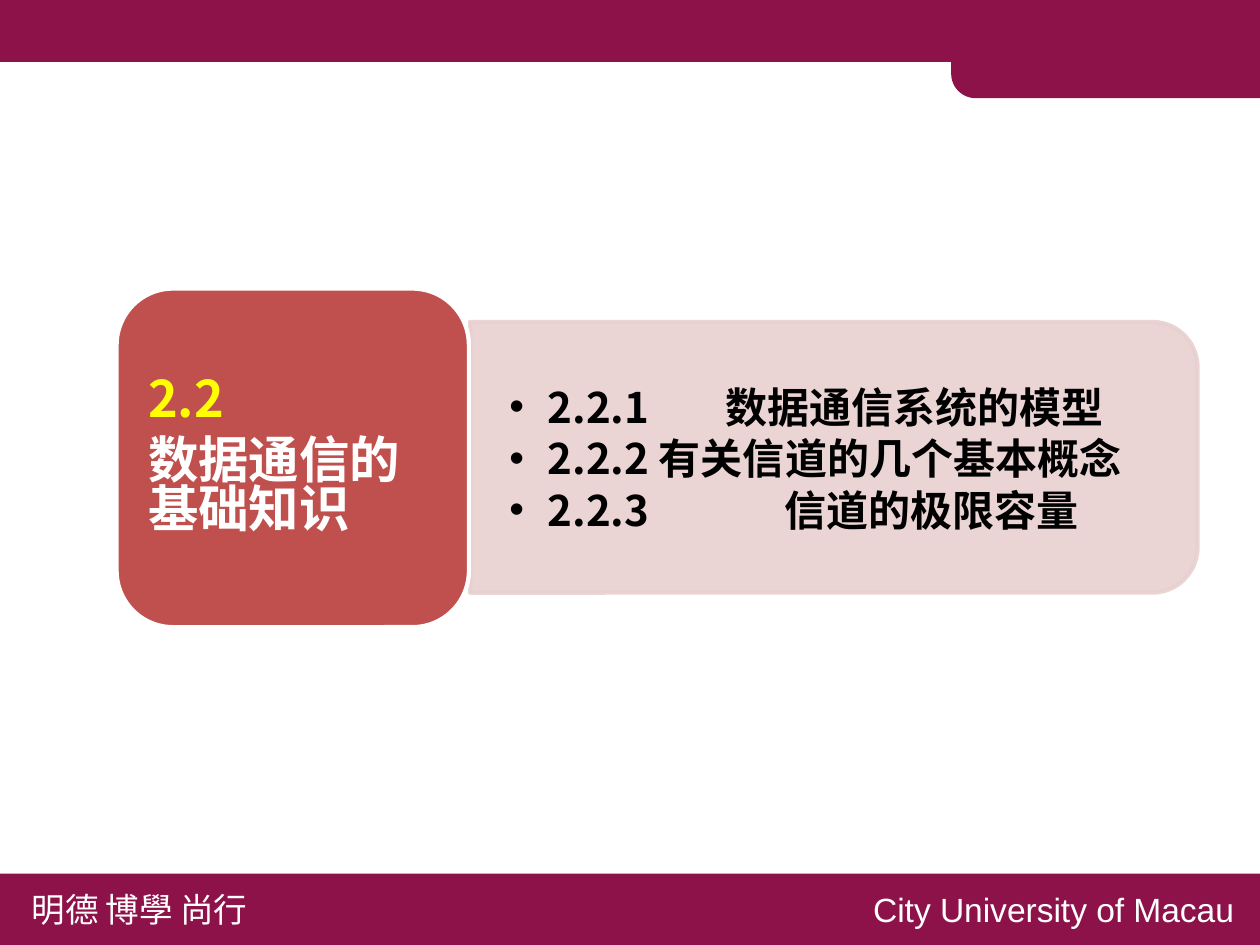
import pptx
import pptx.util
import pptx.dml.color
import pptx.enum.shapes
import pptx.enum.text
import pptx.oxml
import pptx.oxml.ns
import lxml.etree

Cm = pptx.util.Cm
Pt = pptx.util.Pt
KIND = pptx.enum.shapes.MSO_SHAPE
ALIGN = pptx.enum.text.PP_ALIGN
WIDE, HIGH = 21.17, 15.88
WINE, RED, PINK = "8D124A", "C0504D", "E8D0D0"
WHITE, BLACK, GOLD = "FFFFFF", "000000", "FFFF00"
HAN = "Noto Sans CJK SC"


def tint(part, code):
    part.rgb = pptx.dml.color.RGBColor.from_string(code)


def node(parent, tag, **attrs):
    return lxml.etree.SubElement(parent, pptx.oxml.ns.qn(tag), attrs)


def add_block(slide, kind, box, fill, line=None, turn=0, round=None):
    """Draw a filled preset shape; box is left, top, width, height in cm."""
    shape = slide.shapes.add_shape(kind, *map(Cm, box))
    shape.shadow.inherit = False
    shape.rotation = turn
    if round is not None:
        shape.adjustments[0] = round
    shape.fill.solid()
    tint(shape.fill.fore_color, fill)
    if line:
        tint(shape.line.color, line)
        shape.line.width = Pt(2)
    else:
        shape.line.fill.background()
    return shape


def add_run(para, text, size, color, face=HAN, bold=False):
    run = para.add_run()
    run.text = text
    run.font.size = Pt(size)
    run.font.bold = bold
    run.font.name = face
    tint(run.font.color, color)
    node(run.font._element, "a:ea", typeface=face)


def place(holder, box, pads):
    """Move a placeholder to the box, in front, and set its four insets."""
    holder.left, holder.top, holder.width, holder.height = map(Cm, box)
    tree = holder.element.getparent()
    tree.append(holder.element)
    frame = holder.text_frame
    frame.word_wrap = True
    frame.auto_size = pptx.enum.text.MSO_AUTO_SIZE.NONE
    frame.vertical_anchor = pptx.enum.text.MSO_ANCHOR.MIDDLE
    (frame.margin_left, frame.margin_top,
     frame.margin_right, frame.margin_bottom) = map(Cm, pads)
    return frame


def next_para(frame, index):
    para = frame.add_paragraph() if index else frame.paragraphs[0]
    para.alignment = ALIGN.LEFT
    para.space_before = Pt(0)
    return para


def add_header(slide, left, top, width, height):
    add_block(slide, KIND.RECTANGLE, (left, top, width, height), WINE)
    flap = 5.19
    add_block(slide, KIND.ROUND_1_RECTANGLE,
              (left + width - flap, top, flap, 1.65), WINE, turn=180, round=0.25)


def add_footer(slide, left, top, width, height):
    add_block(slide, KIND.RECTANGLE, (left, top, width, height), WINE)
    half = width / 2
    notes = (("明德 博學 尚行", HAN, left + 0.28, ALIGN.LEFT),
             ("City University of Macau", "Arial", left + half - 0.18, ALIGN.RIGHT))
    for text, face, x, align in notes:
        area = slide.shapes.add_textbox(
            Cm(x), Cm(top + 0.13), Cm(half), Cm(0.94))
        area.text_frame.word_wrap = True
        para = area.text_frame.paragraphs[0]
        para.alignment = align
        add_run(para, text, 16, WHITE, face)


def add_card(slide, left, top, width, height):
    add_block(slide, KIND.ROUNDED_RECTANGLE, (left, top, width, height), RED, WHITE)
    gap = 0.28
    frame = place(slide.shapes.title,
                  (left + gap, top + gap, width - 2 * gap, height - 2 * gap),
                  (0.25, 0.13, 0.25, 0.13))
    for index, (text, color) in enumerate(
            (("2.2", GOLD), ("数据通信的基础知识", WHITE))):
        para = next_para(frame, index)
        para.line_spacing = Pt(23.3)
        para.space_after = Pt(0 if index else 6)
        add_run(para, text, 24, color, bold=True)


def add_panel(slide, left, top, width, height):
    """Draw the pale panel, turned on its side, and its list of topics."""
    shift = (width - height) / 2
    panel = add_block(slide, KIND.ROUND_2_SAME_RECTANGLE,
                      (left + shift, top - shift, height, width), PINK, PINK, turn=90)
    for color in panel.element.spPr.iter(pptx.oxml.ns.qn("a:srgbClr")):
        node(color, "a:alpha", val="90000")

    frame = place(slide.placeholders[1], (left, top + 0.22, width, height - 0.44),
                  (0.66, 0.36, 0.2, 0.36))
    topics = (("2.2.1", "数据通信系统的模型", 3.63),
              ("2.2.2", "有关信道的几个基本概念", 2.51),
              ("2.2.3", "信道的极限容量", 4.62))
    for index, (mark, name, stop) in enumerate(topics):
        para = next_para(frame, index)
        props = para._p.get_or_add_pPr()
        props.set("marL", str(Cm(0.64)))
        props.set("indent", str(-Cm(0.64)))
        node(props, "a:buFont", typeface="Arial")
        node(props, "a:buChar", char="•")
        tabs = node(props, "a:tabLst")
        node(tabs, "a:tab", pos=str(Cm(stop)), algn="l")
        para.line_spacing = Pt(24.5)
        para.space_after = Pt(0)
        add_run(para, mark + "\t" + name, 20, BLACK, bold=True)


def main():
    deck = pptx.Presentation()
    deck.slide_width, deck.slide_height = Cm(WIDE), Cm(HIGH)
    slide = deck.slides.add_slide(deck.slide_layouts[1])
    add_header(slide, 0, 0, WIDE, 1.04)
    add_footer(slide, 0, HIGH - 1.2, WIDE, 1.2)
    add_panel(slide, 7.9, 5.41, 12.22, 4.55)
    add_card(slide, 1.96, 4.85, 5.92, 5.69)
    deck.save("out.pptx")


if __name__ == "__main__":
    main()
